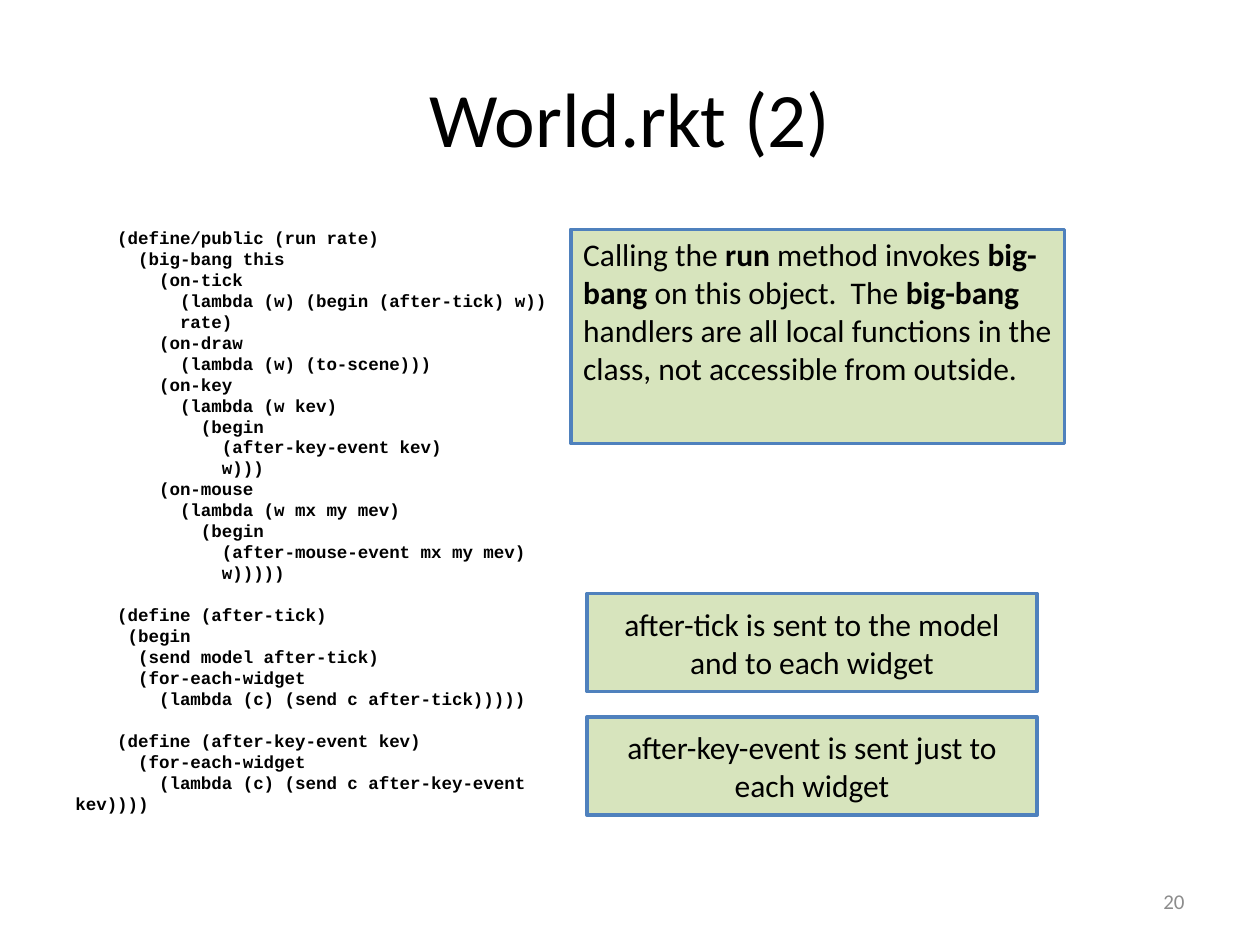
import pptx
import pptx.dml.color
import pptx.enum.shapes
import pptx.enum.text
import pptx.util

Inches = pptx.util.Inches
Pt = pptx.util.Pt
Align = pptx.enum.text.PP_ALIGN
Anchor = pptx.enum.text.MSO_ANCHOR

RUN_METHOD = """\
    (define/public (run rate)
      (big-bang this
        (on-tick
          (lambda (w) (begin (after-tick) w))
          rate)
        (on-draw
          (lambda (w) (to-scene)))
        (on-key
          (lambda (w kev)
            (begin
              (after-key-event kev)
              w)))
        (on-mouse
          (lambda (w mx my mev)
            (begin
              (after-mouse-event mx my mev)
              w)))))"""

AFTER_TICK = """\
    (define (after-tick)
     (begin
      (send model after-tick)
      (for-each-widget
        (lambda (c) (send c after-tick)))))"""

AFTER_KEY_EVENT = """\
    (define (after-key-event kev)
      (for-each-widget
        (lambda (c) (send c after-key-event kev))))"""


def color(hex_string):
    return pptx.dml.color.RGBColor.from_string(hex_string)


class SlideBuilder:
    text_font = "Calibri"
    code_font = "Courier New"
    ink = "000000"
    muted = "8C8C8C"
    note_fill = "D7E4BD"
    note_line = "4F81BD"

    def __init__(self, slide):
        self.slide = slide

    def add_run(self, paragraph, text, size, font=text_font, ink=ink, bold=False):
        run = paragraph.add_run()
        run.text = text
        run.font.name = font
        run.font.size = Pt(size)
        run.font.bold = bold
        run.font.color.rgb = color(ink)

    def add_frame(self, left, top, width, height, anchor=Anchor.MIDDLE):
        box = self.slide.shapes.add_textbox(
            Inches(left), Inches(top), Inches(width), Inches(height))
        frame = box.text_frame
        frame.word_wrap = True
        frame.vertical_anchor = anchor
        return frame

    def label(self, text, left, top, width, height, size, align, ink=ink):
        paragraph = self.add_frame(left, top, width, height).paragraphs[0]
        paragraph.alignment = align
        self.add_run(paragraph, text, size, ink=ink)

    def code(self, definitions, left, top, width, height, size=10, leading=12):
        frame = self.add_frame(left, top, width, height, Anchor.TOP)
        paragraph = frame.paragraphs[0]
        for block, definition in enumerate(definitions):
            for row, line in enumerate(definition.splitlines()):
                if block or row:
                    paragraph = frame.add_paragraph()
                paragraph.line_spacing = Pt(leading)
                if block and row == 0:
                    paragraph.space_before = Pt(leading)
                self.add_run(paragraph, line, size, self.code_font, bold=True)

    def note(self, parts, left, top, width, height,
             align=Align.CENTER, anchor=Anchor.MIDDLE):
        box = self.slide.shapes.add_shape(
            pptx.enum.shapes.MSO_SHAPE.RECTANGLE,
            Inches(left), Inches(top), Inches(width), Inches(height))
        box.shadow.inherit = False
        box.fill.solid()
        box.fill.fore_color.rgb = color(self.note_fill)
        box.line.color.rgb = color(self.note_line)
        box.line.width = Pt(2)
        frame = box.text_frame
        frame.word_wrap = True
        frame.vertical_anchor = anchor
        paragraph = frame.paragraphs[0]
        paragraph.alignment = align
        for text, bold in parts:
            self.add_run(paragraph, text, 18, bold=bold)


def main():
    deck = pptx.Presentation()
    deck.slide_width = Inches(10)
    deck.slide_height = Inches(7.5)
    builder = SlideBuilder(deck.slides.add_slide(deck.slide_layouts[6]))

    builder.label("World.rkt (2)", 0.5, 0.3, 9, 1.25, 44, Align.CENTER)
    builder.code([RUN_METHOD, AFTER_TICK, AFTER_KEY_EVENT], 0.5, 1.75, 4.42, 4.95)
    builder.label("20", 7.17, 6.95, 2.33, 0.4, 12, Align.RIGHT, builder.muted)

    run_explanation = [
        ("Calling the ", False),
        ("run", True),
        (" method invokes ", False),
        ("big-bang", True),
        (" on this object.  The ", False),
        ("big-bang", True),
        (" handlers are all local functions in the class, "
         "not accessible from outside.", False),
    ]
    builder.note(run_explanation, 4.53, 1.82, 3.92, 1.7, Align.LEFT, Anchor.TOP)

    event_notes = [
        "after-tick is sent to the model and to each widget",
        "after-key-event is sent just to each widget",
    ]
    for index, text in enumerate(event_notes):
        builder.note([(text, False)], 4.66, 4.71 + 0.98 * index, 3.57, 0.78)

    deck.save("out.pptx")


if __name__ == "__main__":
    main()
